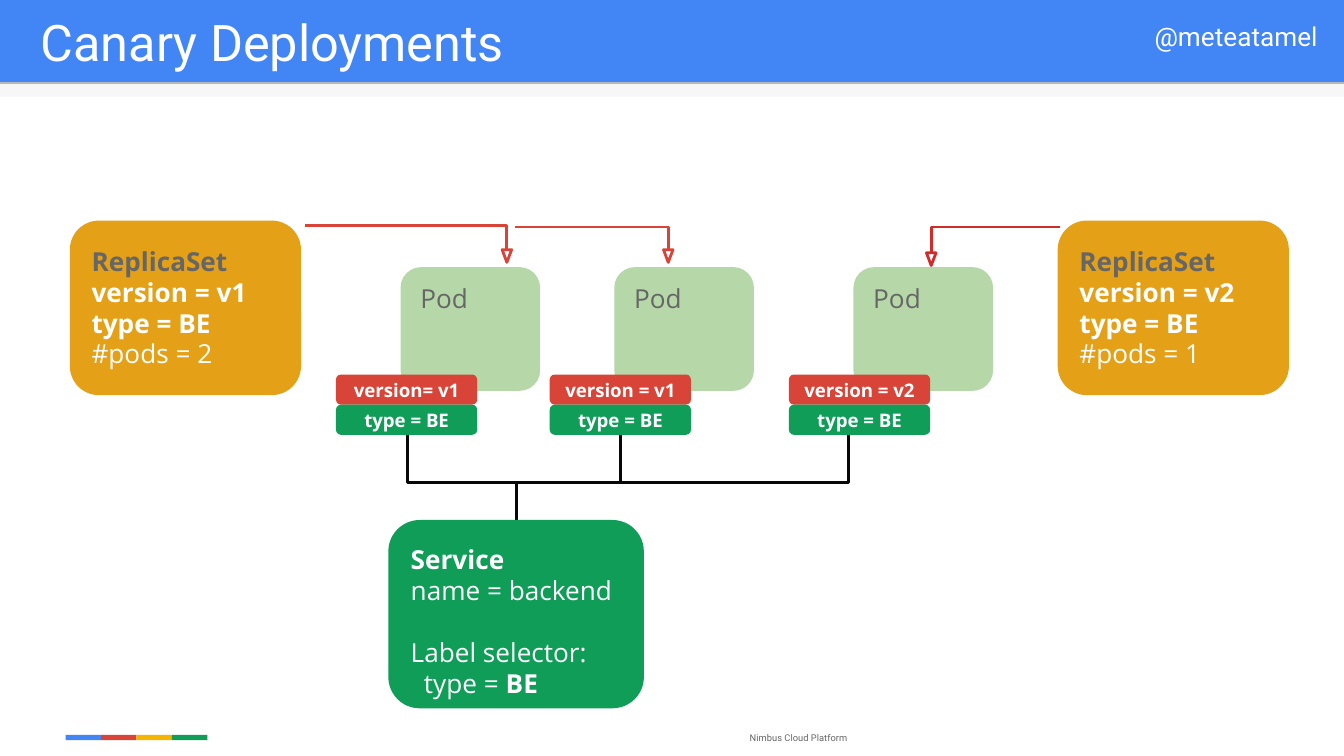
"""Build the Canary Deployments slide."""
import pptx
import pptx.dml.color
import pptx.enum.shapes
import pptx.enum.text
import pptx.util
from lxml import etree

Cm = pptx.util.Cm
Pt = pptx.util.Pt
SHAPES = pptx.enum.shapes.MSO_SHAPE
ALIGN = pptx.enum.text.PP_ALIGN
ANCHOR = pptx.enum.text.MSO_ANCHOR

BLUE, RED, YELLOW, GREEN = "4285F4", "D84437", "F4B400", "0F9D58"
ORANGE, POD_GREEN, DARK_RED, BLACK = "E4A017", "B6D7A8", "D02D2A", "080808"
WHITE, GREY, PALE, RULE = "FFFFFF", "666666", "F7F7F7", "B7B7B7"

BANNER_HEIGHT, BAND_HEIGHT = 1.57, 0.26
STRIPE_LEFT, STRIPE_WIDTH = 1.24, 0.67
REPLICA_TOP, REPLICA_SIZE = 4.17, (4.37, 3.3)
POD_TOP, POD_SIZE = 5.05, (2.64, 2.34)
LABEL_TOP, LABEL_SIZE, LABEL_SHIFT = 7.08, (2.67, 0.57), 1.22
SERVICE = (7.34, 9.83, 4.83, 3.56)
BUS_TOP = 9.12
HEAD_SIZE = (0.18, 0.24)

REPLICA_SETS = [(1.32, "v1", 2), (19.99, "v2", 1)]
PODS = [
    (7.57, "version= v1", 7.7),
    (11.61, "version = v1", 11.73),
    (16.13, "version = v2", 16.03),
]
ARROWS = [
    (5.77, 4.27, 9.58, 4.72, RED),
    (9.73, 4.29, 12.63, 4.72, RED),
    (20.04, 4.29, 17.6, 4.78, DARK_RED),
]
SERVICE_LINES = [
    [("Service", True, WHITE)],
    [("name = backend", False, WHITE)],
    [("Label selector:", False, WHITE)],
    [("type = ", False, WHITE), ("BE", True, WHITE)],
]


def rgb(value):
    """Turn a hex string into a colour."""
    return pptx.dml.color.RGBColor.from_string(value)


def write(shape, lines, size, font="Open Sans", insets=(0, 0), spacing=None,
          align=ALIGN.LEFT, anchor=ANCHOR.TOP, wrap=True):
    """Fill a shape with lines made of (text, bold, colour) runs."""
    frame = shape.text_frame
    frame.word_wrap = wrap
    frame.auto_size = pptx.enum.text.MSO_AUTO_SIZE.NONE
    frame.vertical_anchor = anchor
    frame.margin_left, frame.margin_top = Cm(insets[0]), Cm(insets[1])
    frame.margin_right = frame.margin_bottom = 0
    frame.text = "\n".join("" for _ in lines)
    for paragraph, runs in zip(frame.paragraphs, lines):
        paragraph.alignment = align
        paragraph.line_spacing = spacing
        for text, bold, colour in runs:
            run = paragraph.add_run()
            run.text = text
            run.font.name, run.font.size, run.font.bold = font, Pt(size), bold
            run.font.color.rgb = rgb(colour)


def add_block(slide, kind, left, top, width, height, fill):
    """Add a filled shape without an outline."""
    shape = slide.shapes.add_shape(kind, Cm(left), Cm(top), Cm(width), Cm(height))
    shape.shadow.inherit = False
    shape.fill.solid()
    shape.fill.fore_color.rgb = rgb(fill)
    shape.line.fill.background()
    return shape


def outline(shape, colour):
    """Leave only a coloured outline on a shape."""
    shape.shadow.inherit = False
    shape.fill.background()
    shape.line.color.rgb = rgb(colour)
    shape.line.width = Pt(1.5)


def add_polyline(slide, points, colour):
    """Draw an open line through the points."""
    start, *rest = [(Cm(x), Cm(y)) for x, y in points]
    builder = slide.shapes.build_freeform(*start)
    builder.add_line_segments(rest, close=False)
    outline(builder.convert_to_shape(), colour)


def add_text(slide, left, top, width, height, text, size, colour):
    """Add a single line of Roboto text."""
    box = slide.shapes.add_textbox(Cm(left), Cm(top), Cm(width), Cm(height))
    write(box, [[(text, False, colour)]], size, "Roboto", wrap=False)


def add_frame(slide, width):
    """Add the banner, title, handle, colour stripes and footer."""
    add_block(slide, SHAPES.RECTANGLE, 0, 0, width, BANNER_HEIGHT, BLUE)
    add_block(slide, SHAPES.RECTANGLE, 0, BANNER_HEIGHT, width, BAND_HEIGHT, PALE)
    rule = slide.shapes.add_connector(
        pptx.enum.shapes.MSO_CONNECTOR.STRAIGHT,
        0, Cm(BANNER_HEIGHT), Cm(width), Cm(BANNER_HEIGHT))
    rule.line.color.rgb = rgb(RULE)
    rule.line.width = Pt(0.75)
    etree.SubElement(rule.element.spPr, pptx.oxml.ns.qn("a:effectLst"))
    for index, colour in enumerate([BLUE, RED, YELLOW, GREEN]):
        add_block(slide, SHAPES.RECTANGLE, STRIPE_LEFT + index * STRIPE_WIDTH,
                  13.89, STRIPE_WIDTH, 0.1, colour)
    title = slide.shapes.title
    title.left, title.top, title.width, title.height = Cm(0.74), Cm(0.15), Cm(16.43), Cm(1.22)
    write(title, [[("Canary Deployments", False, WHITE)]], 27, "Roboto", (0.03, 0.06))
    title.element.getparent().append(title.element)
    add_text(slide, 21.82, 0.39, 3.15, 0.6, "@meteatamel", 14, WHITE)
    add_text(slide, 14.17, 13.84, 1.8, 0.25, "Nimbus Cloud Platform", 5, GREY)


def add_replica_set(slide, left, version, count):
    """Add one replica set card."""
    card = add_block(slide, SHAPES.ROUNDED_RECTANGLE, left, REPLICA_TOP, *REPLICA_SIZE, ORANGE)
    lines = [
        [("ReplicaSet", True, GREY)],
        [(f"version = {version}", True, WHITE)],
        [("type = BE", True, WHITE)],
        [(f"#pods = {count}", False, WHITE)],
    ]
    write(card, lines, 14, insets=(0.25, 0.32), spacing=Pt(16.5))


def add_pod(slide, left, version):
    """Add one pod with its two labels."""
    pod = add_block(slide, SHAPES.ROUNDED_RECTANGLE, left, POD_TOP, *POD_SIZE, POD_GREEN)
    write(pod, [[("Pod", False, GREY)]], 14, insets=(0.26, 0.17))
    for index, (text, colour) in enumerate([(version, RED), ("type = BE", GREEN)]):
        label = add_block(slide, SHAPES.ROUNDED_RECTANGLE, left - LABEL_SHIFT,
                          LABEL_TOP + index * LABEL_SIZE[1], *LABEL_SIZE, colour)
        write(label, [[(text, True, WHITE)]], 10, align=ALIGN.CENTER, anchor=ANCHOR.MIDDLE)


def add_service(slide):
    """Add the service card and its lines to the pods."""
    left, top, width, _ = SERVICE
    trunk = left + width / 2
    label_bottom = LABEL_TOP + 2 * LABEL_SIZE[1]
    for _, _, drop in PODS:
        add_polyline(slide, [(trunk, top), (trunk, BUS_TOP), (drop, BUS_TOP),
                             (drop, label_bottom)], BLACK)
    card = add_block(slide, SHAPES.ROUNDED_RECTANGLE, *SERVICE, GREEN)
    write(card, SERVICE_LINES, 14, insets=(0.25, 0.28), spacing=Pt(16.6))
    selector, value = card.text_frame.paragraphs[2:]
    selector.space_before = Pt(16.6)
    value._p.get_or_add_pPr().set("marL", str(Cm(0.25)))


def add_arrow(slide, start, top, tip, head_top, colour):
    """Draw a bent line that ends in a hollow head pointing down."""
    add_polyline(slide, [(start, top), (tip, top), (tip, head_top)], colour)
    width, height = HEAD_SIZE
    head = slide.shapes.add_shape(SHAPES.FLOWCHART_MERGE, Cm(tip - width / 2),
                                  Cm(head_top), Cm(width), Cm(height))
    outline(head, colour)


def main():
    """Build and save the presentation."""
    presentation = pptx.Presentation()
    presentation.slide_width, presentation.slide_height = Cm(25.4), Cm(14.29)
    slide = presentation.slides.add_slide(presentation.slide_layouts[5])
    add_frame(slide, 25.4)
    for replica_set in REPLICA_SETS:
        add_replica_set(slide, *replica_set)
    for left, version, _ in PODS:
        add_pod(slide, left, version)
    add_service(slide)
    for arrow in ARROWS:
        add_arrow(slide, *arrow)
    presentation.save("out.pptx")


if __name__ == "__main__":
    main()
